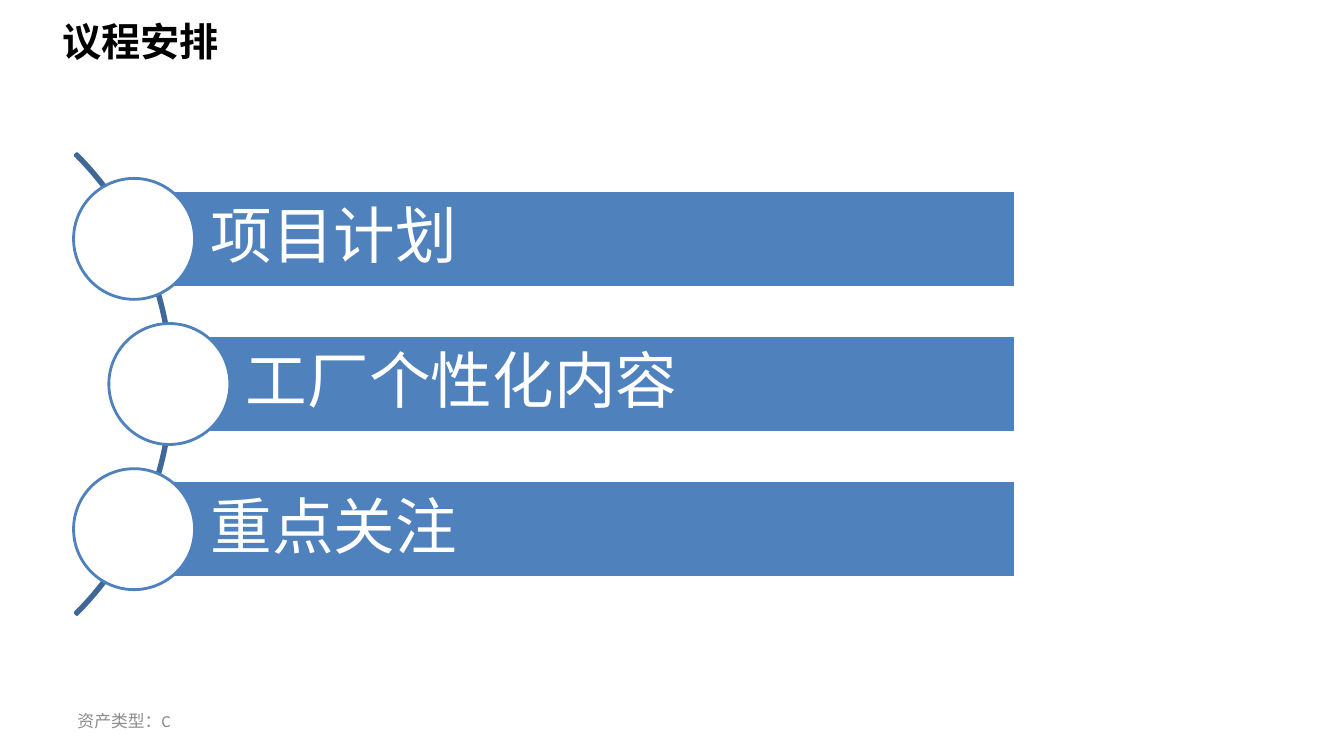
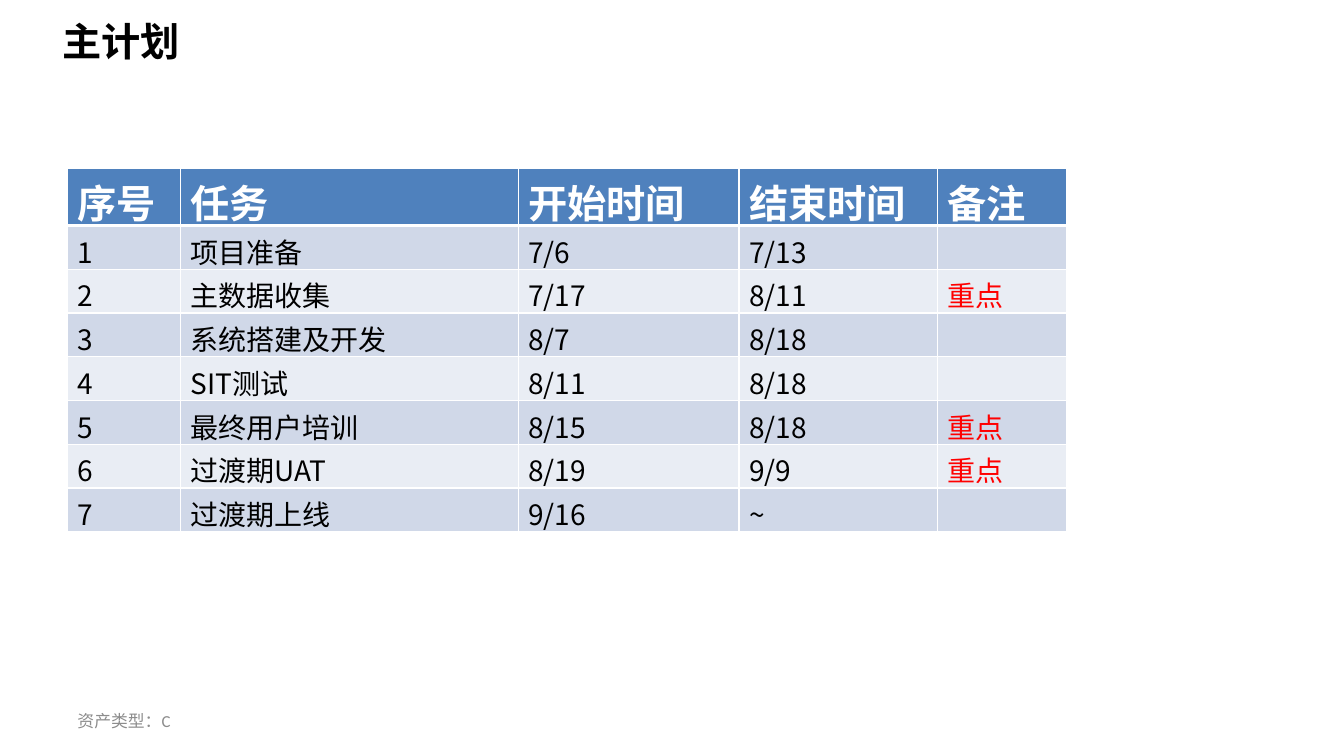
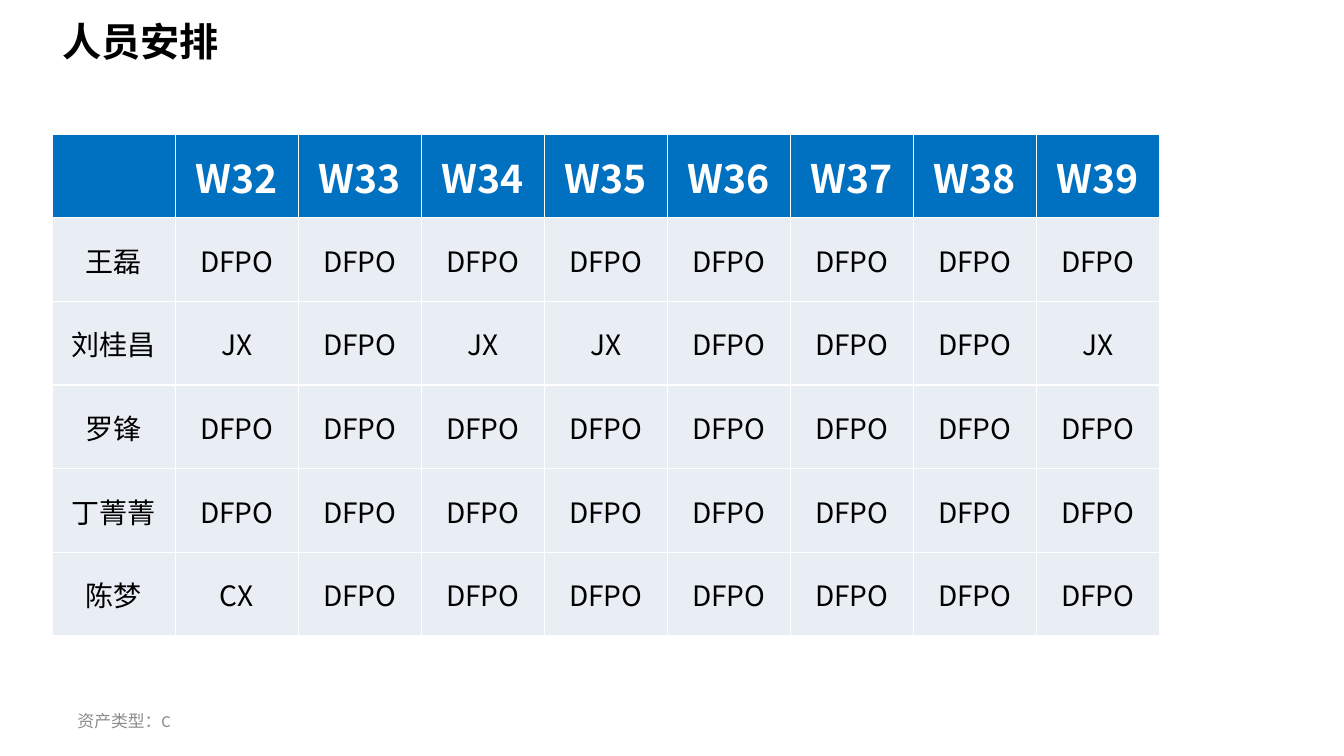
from lxml import etree
from pptx import Presentation
from pptx.dml.color import RGBColor
from pptx.enum.shapes import MSO_SHAPE
from pptx.enum.text import MSO_ANCHOR, MSO_AUTO_SIZE, PP_ALIGN
from pptx.oxml.ns import qn
from pptx.util import Inches, Pt

RECTANGLE, OVAL, ARC = MSO_SHAPE.RECTANGLE, MSO_SHAPE.OVAL, MSO_SHAPE.BLOCK_ARC
TOP, MIDDLE = MSO_ANCHOR.TOP, MSO_ANCHOR.MIDDLE
LEFT, CENTER = PP_ALIGN.LEFT, PP_ALIGN.CENTER
GROW = MSO_AUTO_SIZE.SHAPE_TO_FIT_TEXT

COLORS = {
    "white": "FFFFFF", "black": "000000", "footer": "8C8C8C", "arc": "3F6797",
    "blue": "4F81BD", "staff_header": "0070C0", "band_dark": "D0D8E8",
    "band_light": "E9EDF4", "alert": "FF0000",
}
LATIN_FONT, CJK_FONT = "Calibri", "Noto Sans CJK SC"

AGENDA = ["项目计划", "工厂个性化内容", "重点关注"]
KEY = "重点"
PLAN = [
    ["序号", "任务", "开始时间", "结束时间", "备注"],
    ["1", "项目准备", "7/6", "7/13", ""],
    ["2", "主数据收集", "7/17", "8/11", KEY],
    ["3", "系统搭建及开发", "8/7", "8/18", ""],
    ["4", "SIT测试", "8/11", "8/18", ""],
    ["5", "最终用户培训", "8/15", "8/18", KEY],
    ["6", "过渡期UAT", "8/19", "9/9", KEY],
    ["7", "过渡期上线", "9/16", "~", ""],
]
WEEKS = range(32, 40)
DEFAULT_SITE = "DFPO"
STAFF = ["王磊", "刘桂昌", "罗锋", "丁菁菁", "陈梦"]
OTHER_SITES = {
    "刘桂昌": {32: "JX", 34: "JX", 35: "JX", 39: "JX"},
    "陈梦": {32: "CX"},
}


def rgb(name):
    return RGBColor.from_string(COLORS[name])


def write(frame, text, size, color, bold=False, font=LATIN_FONT, align=LEFT):
    paragraph = frame.paragraphs[0]
    paragraph.alignment = align
    run = paragraph.add_run()
    run.text = text
    run.font.name = font
    run.font.size = Pt(size)
    run.font.bold = bold
    run.font.color.rgb = rgb(color)
    east_asian = etree.SubElement(run.font._element, qn("a:ea"))
    east_asian.set("typeface", CJK_FONT)
    return paragraph


def add_label(slide, box, text, size, color, bold=False, anchor=TOP):
    label = slide.shapes.add_textbox(*map(Inches, box))
    frame = label.text_frame
    frame.word_wrap = True
    frame.vertical_anchor = anchor
    write(frame, text, size, color, bold)
    return frame


def add_outlined(slide, preset, box, fill, line):
    shape = slide.shapes.add_shape(preset, *map(Inches, box))
    shape.shadow.inherit = False
    if fill:
        shape.fill.solid()
        shape.fill.fore_color.rgb = rgb(fill)
    else:
        shape.fill.background()
    shape.line.color.rgb = rgb(line)
    shape.line.width = Pt(2)
    return shape


def new_slide(deck, title):
    slide = deck.slides.add_slide(deck.slide_layouts[6])
    title_frame = add_label(slide, (0.52, 0.12, 9.98, 0.57), title, 28, "black", True)
    title_frame.auto_size = GROW
    add_label(slide, (0.67, 6.95, 3.11, 0.4), "资产类型：C", 12, "footer", anchor=MIDDLE)
    return slide


def add_agenda(slide, box, topics):
    """Bars with a circle on each left end, strung along an arc at the left."""
    left, top, width, height = box
    circle, bar_height, bulge, arc_size = 1.2, 0.96, 0.35, 6.47
    pitch = (height - circle) / (len(topics) - 1)
    arc_box = (left - 5.49, top + (height - arc_size) / 2, arc_size, arc_size)
    arc = add_outlined(slide, ARC, arc_box, None, "arc")
    for index, angle in enumerate((189, 27, 0.004)):
        arc.adjustments[index] = angle
    for index, topic in enumerate(topics):
        indent = bulge if 0 < index < len(topics) - 1 else 0
        circle_top = top + index * pitch
        bar_offset = indent + circle / 2
        bar_box = (left + bar_offset, circle_top + (circle - bar_height) / 2,
                   width - bar_offset, bar_height)
        bar = add_outlined(slide, RECTANGLE, bar_box, "blue", "white")
        frame = bar.text_frame
        frame.word_wrap = True
        frame.vertical_anchor = MIDDLE
        frame.margin_left = Inches(0.76)
        frame.margin_top = frame.margin_right = frame.margin_bottom = Inches(0.12)
        write(frame, topic, 44, "white").line_spacing = 0.9
        add_outlined(slide, OVAL, (left + indent, circle_top, circle, circle), "white", "blue")


def set_borders(cell, bottom_width):
    """Give the cell white edges, which must precede its fill in the XML."""
    properties = cell._tc.get_or_add_tcPr()
    edges = (("L", 1), ("R", 1), ("T", 1), ("B", bottom_width))
    for index, (side, width) in enumerate(edges):
        line = etree.Element(qn(f"a:ln{side}"), w=str(Pt(width)))
        fill = etree.SubElement(line, qn("a:solidFill"))
        etree.SubElement(fill, qn("a:srgbClr"), val=COLORS["white"])
        properties.insert(index, line)


def add_grid(slide, box, rows, column_widths, row_height, header_fill, bands,
             header_rule=1, header_anchor=MIDDLE, align=LEFT, margin=None):
    graphic = slide.shapes.add_table(len(rows), len(column_widths), *map(Inches, box))
    table = graphic.table
    table.horz_banding = False
    for column, width in zip(table.columns, column_widths):
        column.width = Inches(width)
    for row_index, texts in enumerate(rows):
        table.rows[row_index].height = Inches(row_height)
        header = row_index == 0
        for column_index, text in enumerate(texts):
            cell = table.cell(row_index, column_index)
            cell.fill.solid()
            cell.fill.fore_color.rgb = rgb(
                header_fill if header else bands[(row_index - 1) % len(bands)])
            set_borders(cell, header_rule if header else 1)
            cell.vertical_anchor = header_anchor if header else MIDDLE
            if margin is not None:
                cell.margin_left = cell.margin_right = cell.margin_top = Inches(margin)
                cell.margin_bottom = 0
            if text:
                body_color = "alert" if text == KEY else "black"
                write(cell.text_frame, text, 28 if header else 20,
                      "white" if header else body_color, header, CJK_FONT, align)
    graphic.height = Inches(box[3])


def staff_rows():
    yield [""] + [f"W{week}" for week in WEEKS]
    for person in STAFF:
        sites = OTHER_SITES.get(person, {})
        yield [person] + [sites.get(week, DEFAULT_SITE) for week in WEEKS]


def main():
    deck = Presentation()
    deck.slide_width, deck.slide_height = Inches(13.33), Inches(7.5)

    add_agenda(new_slide(deck, "议程安排"), (0.73, 1.77, 9.34, 4.08), AGENDA)
    add_grid(new_slide(deck, "主计划"), (0.67, 1.67, 9.91, 3.6), PLAN,
             [1.12, 3.35, 2.19, 1.97, 1.28], 0.41, "blue", ["band_dark", "band_light"],
             header_rule=3, header_anchor=TOP)
    add_grid(new_slide(deck, "人员安排"), (0.52, 1.33, 10.98, 4.99), list(staff_rows()),
             [1.22] * (len(WEEKS) + 1), 0.83, "staff_header", ["band_light"],
             align=CENTER, margin=0.01)

    deck.save("out.pptx")


if __name__ == "__main__":
    main()
